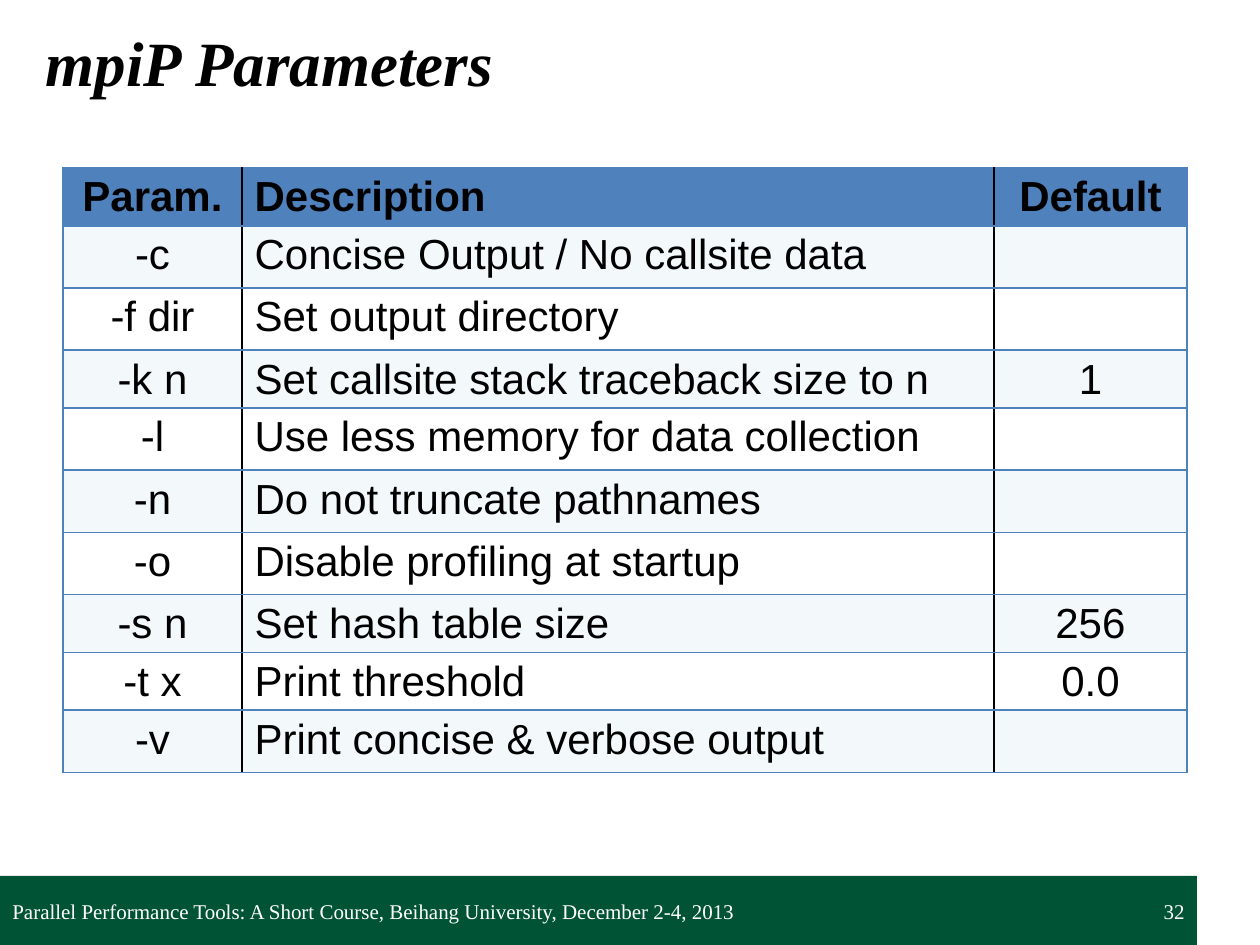
from lxml import etree
from pptx import Presentation
from pptx import util as u
from pptx.dml.color import RGBColor
from pptx.enum import shapes, text
from pptx.oxml.ns import qn

BLUE, BLACK, WHITE, PALE, GREEN = "4F81BD", "000000", "FFFFFF", "F3F9FA", "005334"
SERIF, SANS = "Times New Roman", "Arial"
LEFT, CENTER, RIGHT = text.PP_ALIGN.LEFT, text.PP_ALIGN.CENTER, text.PP_ALIGN.RIGHT
MIDDLE = text.MSO_ANCHOR.MIDDLE

PARAMETERS = [
    ("Param.", "Description", "Default"),
    ("-c", "Concise Output / No callsite data", ""),
    ("-f dir", "Set output directory", ""),
    ("-k n", "Set callsite stack traceback size to n", "1"),
    ("-l", "Use less memory for data collection", ""),
    ("-n", "Do not truncate pathnames", ""),
    ("-o", "Disable profiling at startup", ""),
    ("-s n", "Set hash table size", "256"),
    ("-t x", "Print threshold", "0.0"),
    ("-v", "Print concise & verbose output", ""),
]


def px(length):
    return u.Emu(round(length * 914400 / 126))


def rgb(value):
    return RGBColor.from_string(value)


def write(frame, words, font=SERIF, size=12, color=BLACK, bold=False, italic=False, align=LEFT):
    line = frame.paragraphs[0]
    line.alignment = align
    line.font.size = u.Pt(size)
    if not words:
        return
    run = line.add_run()
    run.text = words
    run.font.name = font
    run.font.size = u.Pt(size)
    run.font.color.rgb = rgb(color)
    run.font.bold = bold
    run.font.italic = italic


def border(cell, **sides):
    properties = cell._tc.get_or_add_tcPr()
    for position, side in enumerate("LRTB"):
        edge = etree.Element(qn(f"a:ln{side}"), w=str(u.Pt(1)))
        solid = etree.SubElement(edge, qn("a:solidFill"))
        etree.SubElement(solid, qn("a:srgbClr"), val=sides.get(side, BLUE))
        properties.insert(position, edge)


class Deck:
    def __init__(self, width, height):
        self.show = Presentation()
        self.show.slide_width, self.show.slide_height = px(width), px(height)
        self.slide = None

    def add_slide(self):
        self.slide = self.show.slides.add_slide(self.show.slide_layouts[5])

    def title(self, words, left, top, width, height):
        heading = self.slide.shapes.title
        heading.left, heading.top = px(left), px(top)
        heading.width, heading.height = px(width), px(height)
        heading.text_frame.vertical_anchor = MIDDLE
        write(heading.text_frame, words, size=36, bold=True, italic=True)

    def band(self, left, top, width, height, color):
        bar = self.slide.shapes.add_shape(
            shapes.MSO_SHAPE.RECTANGLE, px(left), px(top), px(width), px(height))
        bar.shadow.inherit = False
        bar.fill.solid()
        bar.fill.fore_color.rgb = rgb(color)
        bar.line.fill.background()

    def label(self, words, left, top, width, height, align=LEFT):
        frame = self.slide.shapes.add_textbox(
            px(left), px(top), px(width), px(height)).text_frame
        frame.word_wrap = True
        frame.vertical_anchor = MIDDLE
        frame.margin_top = frame.margin_bottom = frame.margin_left = frame.margin_right = u.Inches(0.1)
        write(frame, words, color=WHITE, align=align)

    def table(self, rows, left, top, widths, row_height):
        grid = self.slide.shapes.add_table(
            len(rows), len(widths), px(left), px(top),
            px(sum(widths)), px(row_height * len(rows))).table
        for column, width in zip(grid.columns, widths):
            column.width = px(width)
        last = len(widths) - 1
        for r, row in enumerate(rows):
            fill = BLUE if r == 0 else PALE if r % 2 else WHITE
            for c, words in enumerate(row):
                cell = grid.cell(r, c)
                cell.margin_top, cell.margin_bottom = px(6), px(5)
                cell.fill.solid()
                cell.fill.fore_color.rgb = rgb(fill)
                border(cell, L=BLACK if c else BLUE, R=BLACK if c < last else BLUE)
                write(cell.text_frame, words, font=SANS, size=24, bold=r == 0,
                      align=LEFT if c == 1 else CENTER)


def main():
    deck = Deck(1260, 945)
    deck.add_slide()
    deck.band(0, 876, 1197, 69, GREEN)
    deck.title("mpiP Parameters", 33, 1, 1227, 121)
    deck.table(PARAMETERS, 63, 168, (179, 752, 193), 52)
    deck.label("Parallel Performance Tools: A Short Course, Beihang University, December 2-4, 2013",
               0, 878, 829, 67)
    deck.label("32", 903, 878, 294, 67, align=RIGHT)
    deck.show.save("out.pptx")


if __name__ == "__main__":
    main()
